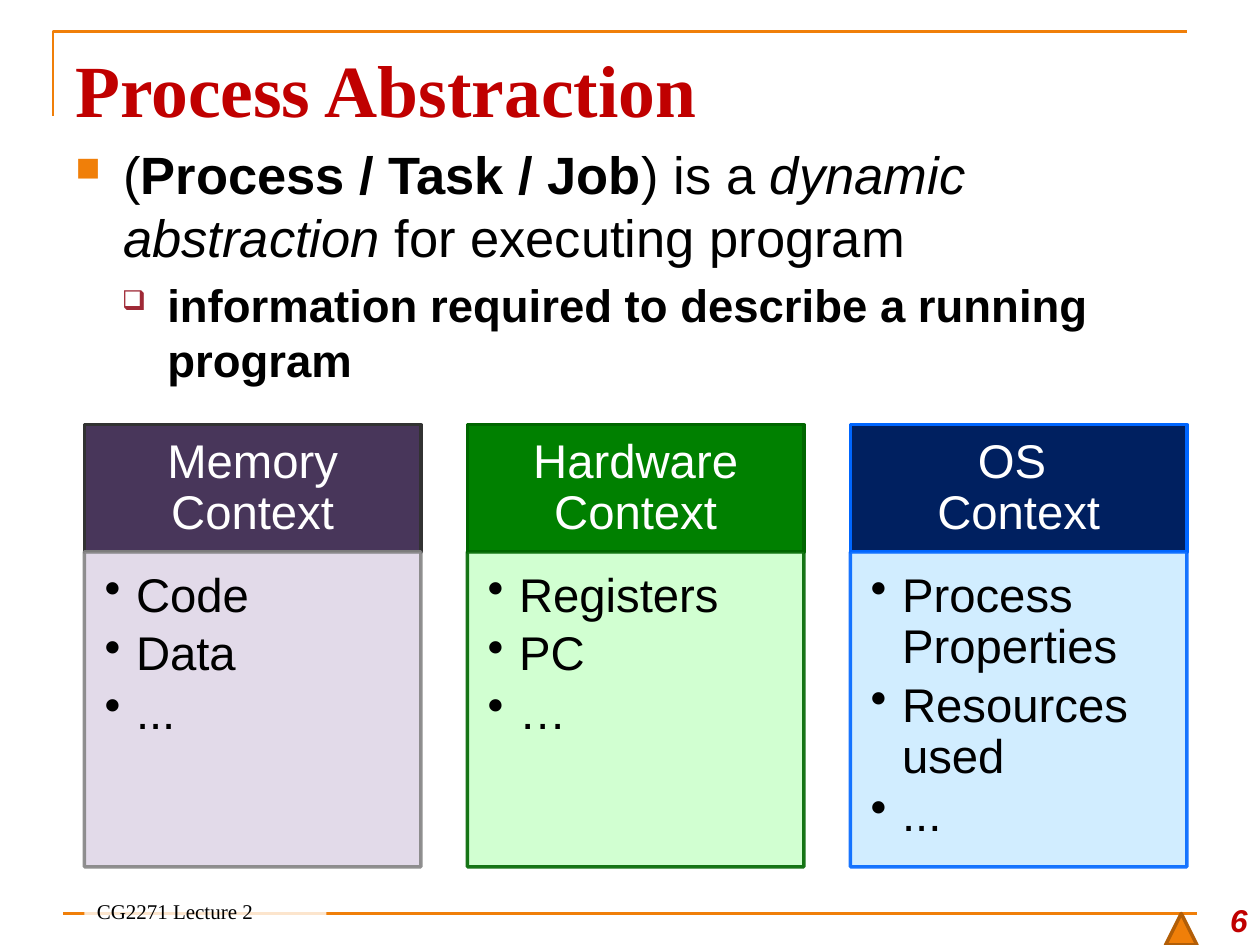
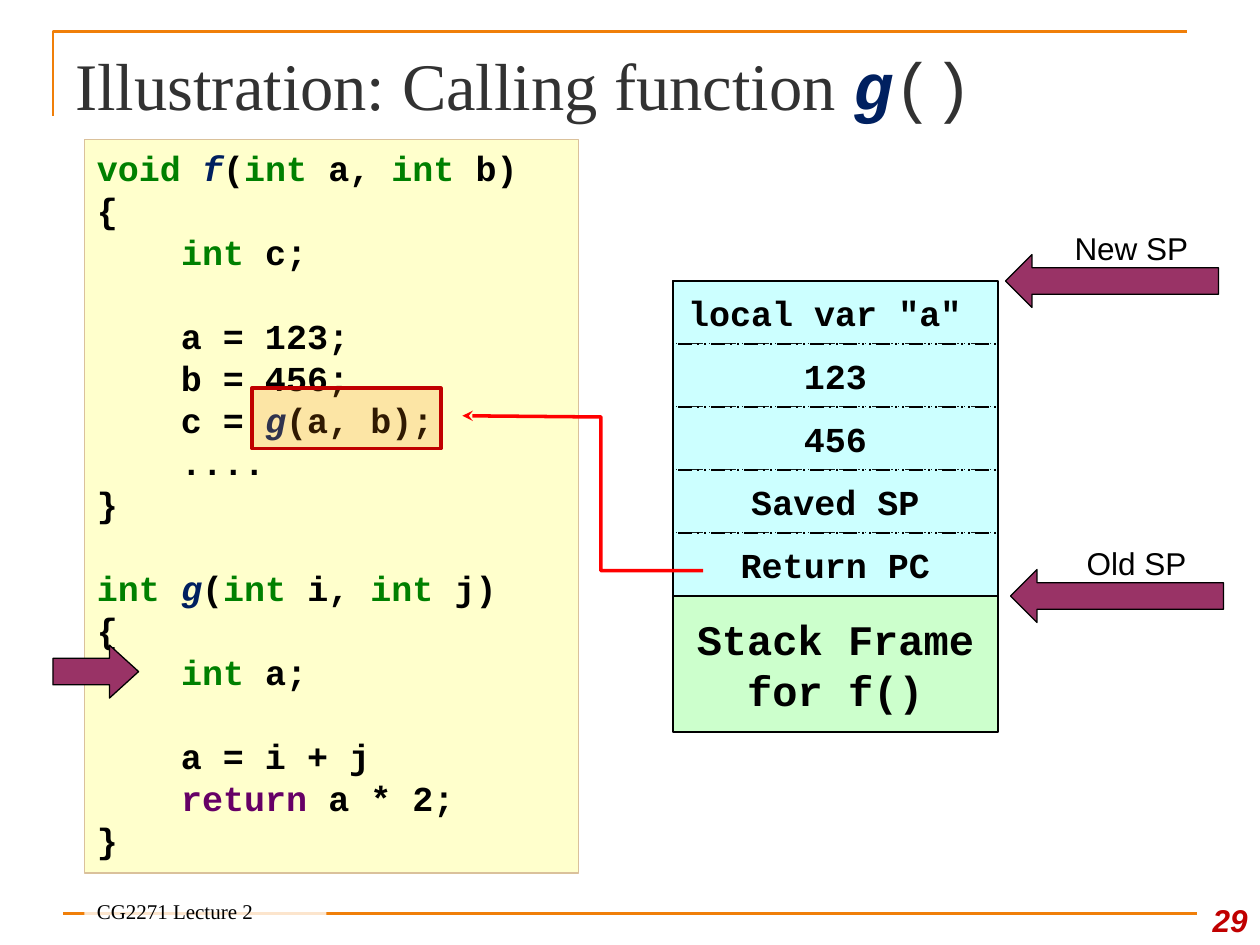
"""Build two lecture slides on process abstraction and function calls."""
from dataclasses import dataclass
from typing import NamedTuple, Optional

from lxml.etree import SubElement
from pptx import Presentation
from pptx.dml.color import RGBColor
from pptx.enum.dml import MSO_LINE
from pptx.enum.shapes import MSO_CONNECTOR, MSO_SHAPE
from pptx.enum.text import MSO_ANCHOR, PP_ALIGN
from pptx.oxml.ns import qn
from pptx.util import Pt

PX = 9144

class Box(NamedTuple):
    left: int
    top: int
    width: int
    height: int

    def emu(self) -> list[int]:
        return [side * PX for side in self]

class Line(NamedTuple):
    color: str
    width: float

@dataclass(frozen=True)
class Style:
    size: int
    font: str
    color: str
    bold: bool = False
    italic: bool = False

class Run(NamedTuple):
    text: str
    style: Style

class Context(NamedTuple):
    title: str
    items: str
    dark: str
    light: str
    header_line: str
    body_line: str

@dataclass(frozen=True)
class Theme:
    sans, serif, mono = "Arial", "Times New Roman", "Courier New"
    black, white, charcoal = "000000", "FFFFFF", "323232"
    orange, dark_orange, tan = "F07F09", "B25E07", "DAC19B"
    crimson, maroon, red = "C00000", "9F2936", "FF0000"
    plum, purple, navy = "993366", "660066", "002060"
    green, mint, cyan, cream = "008000", "CCFFCC", "CCFFFF", "FFFFCC"
    footer: Style = Style(12, serif, black)
    number: Style = Style(18, sans, crimson, True, True)
    label: Style = Style(18, sans, black)
    title: Style = Style(42, serif, crimson, True)
    plain_title: Style = Style(38, serif, charcoal)
    title_function: Style = Style(38, mono, navy, True, True)
    title_code: Style = Style(38, mono, charcoal)
    body: Style = Style(30, sans, black)
    body_bold: Style = Style(30, sans, black, True)
    body_italic: Style = Style(30, sans, black, False, True)
    detail: Style = Style(26, sans, black, True)
    card_header: Style = Style(27, sans, white)
    card_item: Style = Style(27, sans, black)
    code: Style = Style(20, mono, black, True)
    keyword: Style = Style(20, mono, green, True)
    jump: Style = Style(20, mono, purple, True)
    function: Style = Style(20, mono, navy, True, True)
    frame: Style = Style(24, mono, black, True)

THEME = Theme()
CONTEXTS = [
    Context("Memory Context", "Code\nData\n...", "48365A", "DFD7E7", "323232", "848484"),
    Context("Hardware Context", "Registers\nPC\n…", "008000", "CCFFCC", "006600", "006600"),
    Context("OS \vContext", "Process Properties\nResources used\n...",
            "002060", "CCECFF", "0066FF", "0066FF"),
]
CODE = """void |f|(|int| a, |int| b)
{
    |int| c;

    a = 123;
    b = 456;
    c = |g|(a, b);
    ....
}

int |g|(|int |i, |int| j)
{
    |int| a;

    a = i + j
    |return |a * 2;
}"""
CODE_STYLES = {"void": THEME.keyword, "int": THEME.keyword, "return": THEME.jump,
               "f": THEME.function, "g": THEME.function}
STACK_ROWS = ['local var "a" ', "123", "456", "Saved SP", "Return PC"]

def format_run(run, style: Style) -> None:
    font = run.font
    font.size, font.name = Pt(style.size), style.font
    font.bold, font.italic = style.bold, style.italic
    font.color.rgb = RGBColor.from_string(style.color)

def add_runs(paragraph, runs: list[Run]) -> None:
    for text, style in runs:
        run = paragraph.add_run()
        run.text = text
        format_run(run, style)

def set_frame(shape, anchor=MSO_ANCHOR.TOP, insets=(10, 5, 10, 5), wrap: bool = True):
    frame = shape.text_frame
    frame.word_wrap, frame.vertical_anchor = wrap, anchor
    frame.margin_left, frame.margin_top, frame.margin_right, frame.margin_bottom = (
        side * PX for side in insets)
    return frame

def set_text(shape, text: str, style: Style, align=PP_ALIGN.LEFT, **layout):
    frame = set_frame(shape, **layout)
    frame.text = text
    for paragraph in frame.paragraphs:
        paragraph.alignment = align
        for run in paragraph.runs:
            format_run(run, style)
    return frame

def set_bullet(paragraph, char: str, indent: int, hang: int, color: str, percent: int) -> None:
    properties = paragraph._p.get_or_add_pPr()
    properties.set("marL", str(indent * PX))
    properties.set("indent", str(-hang * PX))
    SubElement(SubElement(properties, qn("a:buClr")), qn("a:srgbClr"), val=color)
    SubElement(properties, qn("a:buSzPct"), val=str(percent * 1000))
    SubElement(properties, qn("a:buChar"), char=char)

def fade(element, percent: int) -> None:
    for color in element.iter(qn("a:srgbClr")):
        SubElement(color, qn("a:alpha"), val=str(percent * 1000))

def set_line(shape, line: Line) -> None:
    shape.line.color.rgb = RGBColor.from_string(line.color)
    shape.line.width = Pt(line.width)

def add_block(slide, box: Box, fill: Optional[str], line: Optional[Line],
              kind=MSO_SHAPE.RECTANGLE):
    shape = slide.shapes.add_shape(kind, *box.emu())
    shape.shadow.inherit = False
    if fill:
        shape.fill.solid()
        shape.fill.fore_color.rgb = RGBColor.from_string(fill)
    else:
        shape.fill.background()
    if line:
        set_line(shape, line)
    else:
        shape.line.fill.background()
    return shape

def add_path(slide, points: list[tuple[int, int]], line: Line):
    (x, y), *rest = [(px * PX, py * PX) for px, py in points]
    builder = slide.shapes.build_freeform(x, y)
    builder.add_line_segments(rest, close=False)
    route = builder.convert_to_shape()
    route.shadow.inherit = False
    route.fill.background()
    set_line(route, line)
    return route

def add_label(slide, box: Box, text: str, style: Style, **layout) -> None:
    set_text(slide.shapes.add_textbox(*box.emu()), text, style, **layout)

def add_page(deck, title: list[Run]):
    slide = deck.slides.add_slide(deck.slide_layouts[6])
    accent = Line(THEME.orange, 1.5)
    add_path(slide, [(42, 92), (42, 25), (942, 25)], accent)
    rule = slide.shapes.add_connector(
        MSO_CONNECTOR.STRAIGHT, 50 * PX, 725 * PX, 950 * PX, 725 * PX)
    set_line(rule, accent)
    SubElement(rule._element.spPr, qn("a:effectLst"))
    heading = slide.shapes.add_textbox(*Box(50, 30, 900, 78).emu())
    add_runs(set_frame(heading).paragraphs[0], title)
    return slide

def add_footer(slide, number: int) -> None:
    add_label(slide, Box(942, 700, 58, 50), str(number), THEME.number,
              align=PP_ALIGN.RIGHT, anchor=MSO_ANCHOR.BOTTOM)
    course = add_block(slide, Box(67, 713, 192, 25), THEME.white, None)
    fade(course._element.spPr, 80)
    set_text(course, "CG2271 Lecture 2", THEME.footer, anchor=MSO_ANCHOR.BOTTOM)

def add_context(slide, left: int, context: Context) -> None:
    header = add_block(slide, Box(left, 337, 267, 101), context.dark,
                       Line(context.header_line, 2))
    heading = set_text(header, context.title, THEME.card_header, PP_ALIGN.CENTER,
                       anchor=MSO_ANCHOR.MIDDLE, insets=(21, 12, 21, 12))
    heading.paragraphs[0].line_spacing = 0.9
    body = add_block(slide, Box(left, 438, 267, 250), context.light, Line(context.body_line, 2))
    fade(body._element.spPr, 90)
    items = set_text(body, context.items, THEME.card_item, insets=(16, 16, 21, 24))
    for item in items.paragraphs:
        set_bullet(item, "•", 25, 25, THEME.black, 100)
        item.line_spacing, item.space_after = 0.9, Pt(4)

def add_arrow(slide, box: Box, kind=MSO_SHAPE.LEFT_ARROW, head: float = 0.5) -> None:
    arrow = add_block(slide, box, THEME.plum, Line(THEME.black, 0.75), kind)
    arrow.adjustments[0], arrow.adjustments[1] = 0.5, head

def add_pointer(slide, left: int, top: int, text: str) -> None:
    add_arrow(slide, Box(left, top, 169, 42))
    add_label(slide, Box(left + 23, top - 25, 154, 40), text, THEME.label,
              align=PP_ALIGN.CENTER)

def build_abstraction(deck) -> None:
    slide = add_page(deck, [Run("Process Abstraction", THEME.title)])
    summary = set_frame(slide.shapes.add_textbox(*Box(50, 108, 900, 217).emu()))
    definition, detail = summary.paragraphs[0], summary.add_paragraph()
    set_bullet(definition, "■", 38, 38, THEME.orange, 65)
    add_runs(definition, [Run("(", THEME.body), Run("Process / Task / Job", THEME.body_bold),
                          Run(") is a ", THEME.body),
                          Run("dynamic abstraction ", THEME.body_italic),
                          Run("for executing program", THEME.body)])
    detail.level, detail.space_before = 1, Pt(5)
    set_bullet(detail, "❑", 73, 36, THEME.maroon, 60)
    add_runs(detail, [Run("information required to describe a running program", THEME.detail)])
    for column, context in enumerate(CONTEXTS):
        add_context(slide, 67 + 304 * column, context)
    add_block(slide, Box(925, 725, 25, 25), THEME.orange, Line(THEME.dark_orange, 2),
              MSO_SHAPE.ISOSCELES_TRIANGLE)
    add_footer(slide, 6)

def add_code(slide) -> None:
    listing = set_frame(add_block(slide, Box(67, 111, 392, 582), THEME.cream,
                                  Line(THEME.tan, 0.75)))
    for index, source in enumerate(CODE.split("\n")):
        paragraph = listing.add_paragraph() if index else listing.paragraphs[0]
        paragraph.alignment = PP_ALIGN.LEFT
        if source:
            add_runs(paragraph, [Run(part, CODE_STYLES.get(part.strip(), THEME.code))
                                 for part in source.split("|")])
        else:
            blank = SubElement(paragraph._p, qn("a:endParaRPr"), sz=str(THEME.code.size * 100))
            SubElement(blank, qn("a:latin"), typeface=THEME.mono)

def add_stack(slide) -> None:
    layout = dict(align=PP_ALIGN.CENTER, anchor=MSO_ANCHOR.MIDDLE, wrap=False)
    border = Line(THEME.black, 1.5)
    caller = add_block(slide, Box(534, 473, 258, 108), THEME.mint, border)
    set_text(caller, "Stack Frame\vfor f()", THEME.frame, **layout)
    for index, entry in enumerate(STACK_ROWS):
        row = add_block(slide, Box(534, 223 + 50 * index, 258, 50), THEME.cyan,
                        Line(THEME.black, 1))
        row.line.dash_style = MSO_LINE.DASH_DOT_DOT
        set_text(row, entry, THEME.code, **layout)
    add_block(slide, Box(534, 223, 258, 250), None, border)

def build_call(deck) -> None:
    slide = add_page(deck, [Run("Illustration: Calling function ", THEME.plain_title),
                            Run("g", THEME.title_function), Run("()", THEME.title_code)])
    add_code(slide)
    add_stack(slide)
    add_pointer(slide, 802, 452, "Old SP")
    return_route = add_path(slide, [(558, 453), (477, 453), (477, 331), (367, 330)],
                            Line(THEME.red, 2))
    SubElement(return_route.line._get_or_add_ln(), qn("a:tailEnd"), type="stealth")
    call = add_block(slide, Box(200, 308, 150, 48), THEME.orange, Line(THEME.crimson, 2))
    fade(call._element.spPr.find(qn("a:solidFill")), 20)
    add_pointer(slide, 798, 202, "New SP")
    add_arrow(slide, Box(42, 512, 68, 42), MSO_SHAPE.RIGHT_ARROW, 0.55)
    add_footer(slide, 29)

def main() -> None:
    deck = Presentation()
    deck.slide_width, deck.slide_height = 1000 * PX, 750 * PX
    build_abstraction(deck)
    build_call(deck)
    deck.save("out.pptx")

if __name__ == "__main__":
    main()
